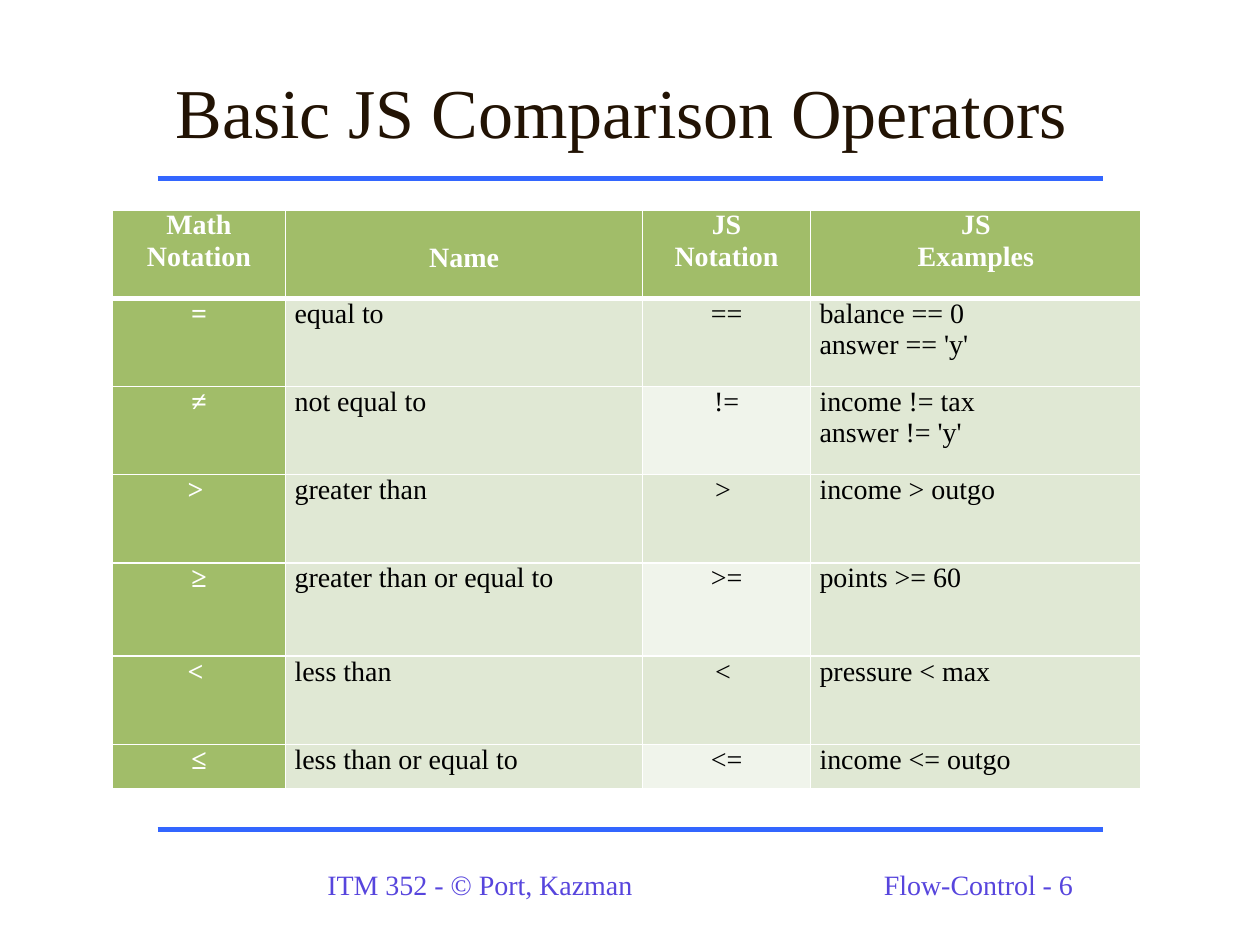
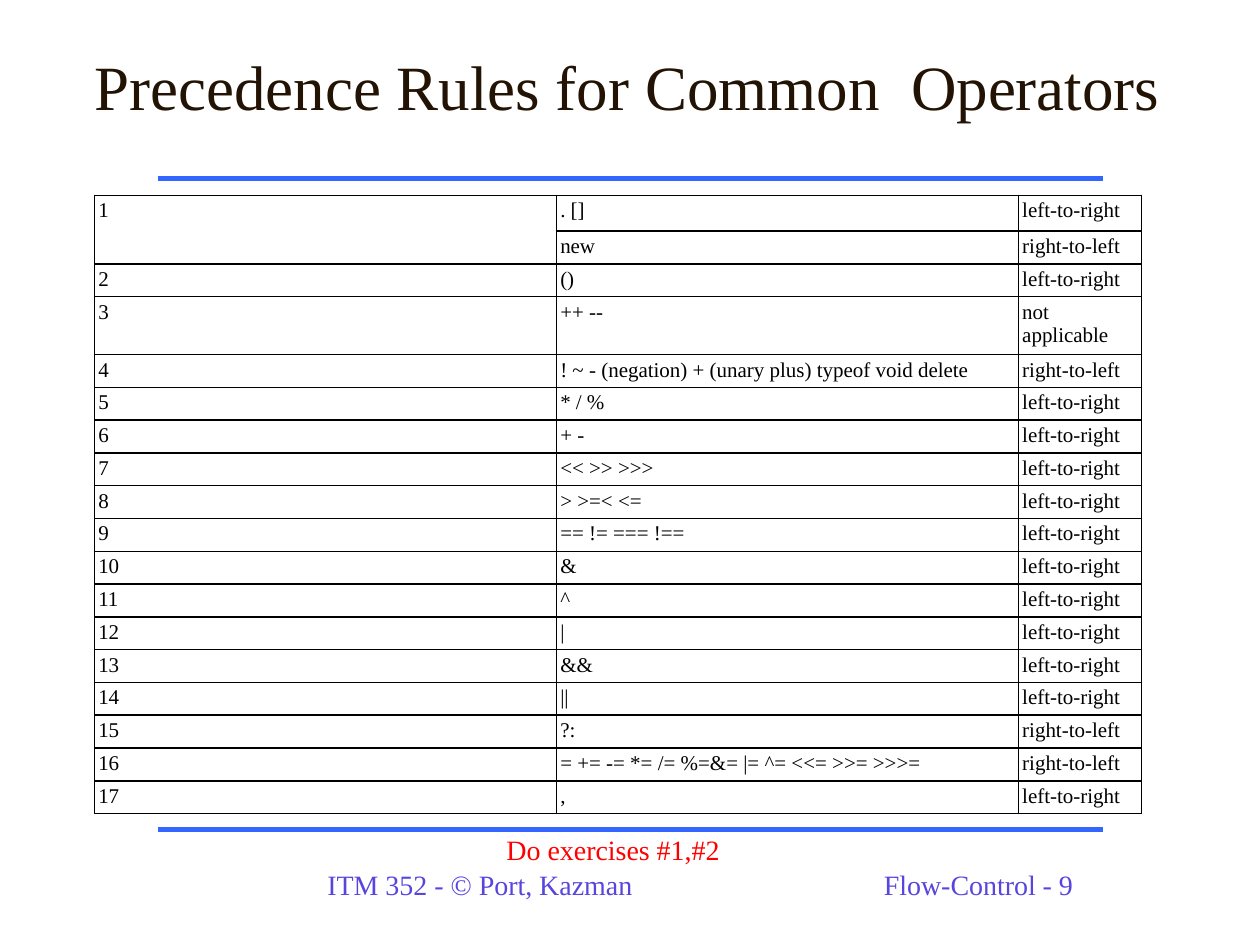
from lxml import etree
from pptx import Presentation
from pptx.dml.color import RGBColor
from pptx.enum import shapes, text
from pptx.oxml.ns import qn
from pptx.util import Emu, Inches, Pt

COLORS = {
    "title": "221304", "rule": "3366FF", "footer": "5745DD", "notice": "FF0000",
    "white": "FFFFFF", "black": "000000",
    "green": "A1BD69", "pale": "E0E8D4", "palest": "F0F4EB",
}
FONT = "Times New Roman"
LEFT, CENTER = text.PP_ALIGN.LEFT, text.PP_ALIGN.CENTER

deck = Presentation()
deck.slide_width, deck.slide_height = Inches(10), Inches(7.5)
UNIT = deck.slide_width / 120  # the page is a grid of 120 columns by 90 rows


def write(frame, words, size, color, align=LEFT, bold=False):
    """Fill a text frame, one paragraph for each line of words."""
    frame.text = words
    for para in frame.paragraphs:
        para.alignment = align
        para.font.name, para.font.size, para.font.bold = FONT, Pt(size), bold
        para.font.color.rgb = RGBColor.from_string(COLORS[color])


def add_grid(page, left, top, columns, rows, margins):
    """Add a plain table; columns, rows and margins are in grid units."""
    area = [Emu(round(n * UNIT)) for n in (left, top, sum(columns), sum(rows))]
    table = page.shapes.add_table(len(rows), len(columns), *area).table
    table.first_row = table.horz_banding = False
    for column, width in zip(table.columns, columns):
        column.width = Emu(round(width * UNIT))
    for row, height in zip(table.rows, rows):
        row.height = Emu(round(height * UNIT))
    for cell in table.iter_cells():
        cell.margin_left = cell.margin_right = Emu(round(margins[0] * UNIT))
        cell.margin_top = cell.margin_bottom = Emu(round(margins[1] * UNIT))
    return table


# Shared frame: title, two rules, footers
# number, title, title size, title area
frames = [
    (6, "Basic JS Comparison Operators ", 40, (9, 3, 102, 15)),
    (9, "Precedence Rules for Common  Operators", 36, (3.5, 2.3, 112.5, 11.6)),
]
pages = []
for number, title, title_size, title_area in frames:
    page = deck.slides.add_slide(deck.slide_layouts[6])
    pages.append(page)
    for row in (17, 79):
        ends = [Emu(round(n * UNIT)) for n in (15, row, 105, row)]
        rule = page.shapes.add_connector(shapes.MSO_CONNECTOR.STRAIGHT, *ends)
        rule.line.color.rgb = RGBColor.from_string(COLORS["rule"])
        rule.line.width = Pt(3)
        etree.SubElement(rule._element.spPr, qn("a:effectLst"))
    labels = [
        (title, title_size, "title", CENTER, title_area),
        ("ITM 352 - © Port, Kazman", 16, "footer", LEFT, (30, 82, 50, 4.4)),
        (f"Flow-Control - {number}", 16, "footer", LEFT, (83, 82, 29, 4.4)),
    ]
    if number == 9:
        labels.append(("Do exercises #1,#2", 16, "notice", CENTER, (46.9, 78.7, 23, 4.4)))
    for words, size, color, align, area in labels:
        box = page.shapes.add_textbox(*[Emu(round(n * UNIT)) for n in area])
        box.text_frame.word_wrap = True
        box.text_frame.vertical_anchor = text.MSO_ANCHOR.MIDDLE
        write(box.text_frame, words, size, color, align)

# Comparison operators
comparisons = [
    ("Math\nNotation", "Name", "JS\nNotation", "JS\nExamples"),
    ("=", "equal to", "==", "balance == 0\nanswer == 'y'"),
    ("≠", "not equal to", "!=", "income != tax\nanswer != 'y'"),
    (">\u00a0", "greater than", ">\u00a0", "income > outgo"),
    ("≥", "greater than or equal to", ">=", "points >= 60"),
    ("<\u00a0", "less than", "<\u00a0", "pressure < max"),
    ("≤", "less than or equal to", "<=", "income <= outgo"),
]
comparison_table = add_grid(pages[0], 10.7, 20, (16.5, 34, 16, 31.5),
                            (8.4, 8.4, 8.4, 8.4, 8.9, 8.4, 4.2), (0.86, 0))
for r, record in enumerate(comparisons):
    for c, words in enumerate(record):
        heading = r == 0 or c == 0
        align = CENTER if heading or c == 2 else LEFT
        write(comparison_table.cell(r, c).text_frame, words, 16,
              "white" if heading else "black", align, heading)
# the one-line heading sits level with the second line of its neighbours
comparison_table.cell(0, 1).margin_top = Pt(18.4)

# Operator precedence
LTR, RTL = "left-to-right", "right-to-left"
precedence = [
    ("1", ". []", LTR),
    ("", "new", RTL),
    ("2", "()", LTR),
    ("3", "++ --", "not applicable"),
    ("4", "! ~ - (negation) + (unary plus) typeof void delete", RTL),
    ("5", "* / %", LTR),
    ("6", "+ -", LTR),
    ("7", "<< >> >>>", LTR),
    ("8", "> >=< <=", LTR),
    ("9", "== != === !==", LTR),
    ("10", "&", LTR),
    ("11", "^", LTR),
    ("12", "|", LTR),
    ("13", "&&", LTR),
    ("14", "||", LTR),
    ("15", "?:", RTL),
    ("16", "= += -= *= /= %=&= |= ^= <<= >>= >>>=", RTL),
    ("17", ",", LTR),
]
precedence_table = add_grid(pages[1], 9, 18.6, (44, 44, 11.7),
                            [3.4, 3.1, 3.1, 5.5] + [3.1] * 14, (0.36, 0.36))
for r, record in enumerate(precedence):
    for c, words in enumerate(record):
        write(precedence_table.cell(r, c).text_frame, words, 12, "black")
precedence_table.cell(0, 0).merge(precedence_table.cell(1, 0))

# Cell borders and fills
for table, border in ((comparison_table, "white"), (precedence_table, "black")):
    for r, row in enumerate(table.rows):
        for c, cell in enumerate(row.cells):
            properties = cell._tc.get_or_add_tcPr()
            for side in "LRTB":
                thick = table is comparison_table and (r, side) in ((0, "B"), (1, "T"))
                edge = etree.SubElement(properties, qn(f"a:ln{side}"),
                                        w=str(Pt(3 if thick else 1)))
                paint = etree.SubElement(edge, qn("a:solidFill"))
                etree.SubElement(paint, qn("a:srgbClr"), val=COLORS[border])
            if table is precedence_table:
                fill = "white"
            elif r == 0 or c == 0:
                fill = "green"
            else:
                fill = "palest" if c == 2 and r % 2 == 0 else "pale"
            cell.fill.solid()
            cell.fill.fore_color.rgb = RGBColor.from_string(COLORS[fill])

deck.save("out.pptx")
